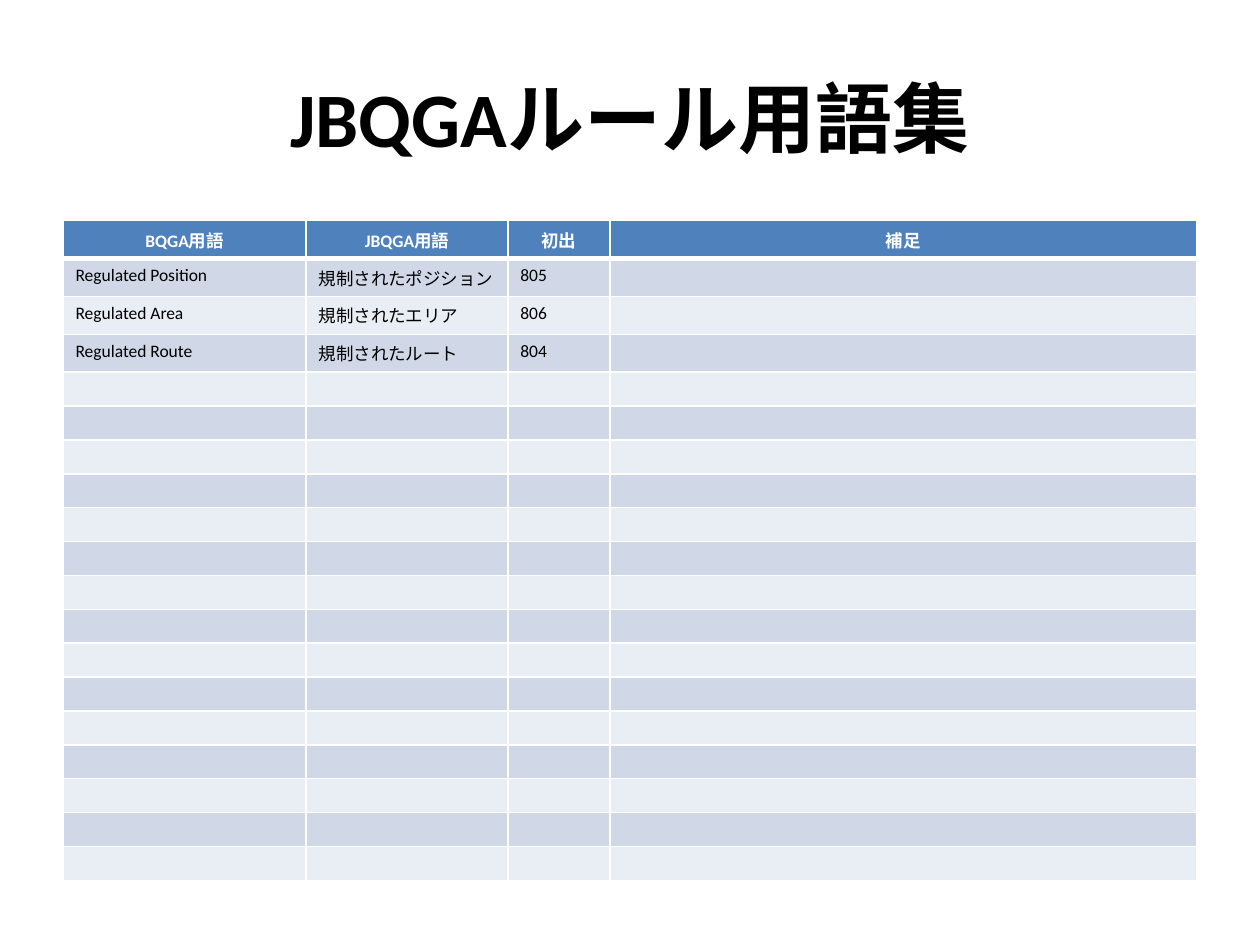
from lxml.etree import SubElement
from pptx import Presentation
from pptx.dml.color import RGBColor
from pptx.enum.text import MSO_ANCHOR, PP_ALIGN
from pptx.oxml import parse_xml
from pptx.oxml.ns import nsdecls, qn
from pptx.util import Cm, Pt

FONT = "Calibri"
WHITE, BLACK, BLUE = "FFFFFF", "000000", "4F81BD"
BANDS = ("D0D8E8", "E9EDF4")
HEADINGS = ("BQGA用語", "JBQGA用語", "初出", "補足")
TERMS = [
    ("Regulated Position", "規制されたポジション", "805", ""),
    ("Regulated Area", "規制されたエリア", "806", ""),
    ("Regulated Route", "規制されたルート", "804", ""),
]
BLANK_ROWS = 15
COLUMN_SHARES = (1.93, 1.6, 0.81, 4.66)
TERM_HEIGHT, BLANK_HEIGHT = 0.76, 0.68


def color(value):
    return RGBColor.from_string(value)


def format_text(paragraph, size, text_color, bold):
    for run in paragraph.runs:
        run.font.name = FONT
        run.font.size = Pt(size)
        run.font.bold = bold
        run.font.color.rgb = color(text_color)


def add_borders(cell, bottom_width):
    properties = cell._tc.get_or_add_tcPr()
    widths = {"lnL": 1, "lnR": 1, "lnT": 1, "lnB": bottom_width}
    for position, (side, width) in enumerate(widths.items()):
        properties.insert(position, parse_xml(
            f'<a:{side} {nsdecls("a")} w="{Pt(width)}"><a:solidFill>'
            f'<a:srgbClr val="{WHITE}"/></a:solidFill></a:{side}>'))


def fill_cell(cell, text, background, text_color, heading):
    cell.fill.solid()
    cell.fill.fore_color.rgb = color(background)
    add_borders(cell, 3 if heading else 1)
    paragraph = cell.text_frame.paragraphs[0]
    if text:
        paragraph.text = text
        paragraph.alignment = PP_ALIGN.CENTER if heading else PP_ALIGN.LEFT
        format_text(paragraph, 10, text_color, heading)
    else:
        SubElement(paragraph._p, qn("a:endParaRPr"), sz="1000")


def place_title(slide, left, top, width, height):
    title = slide.shapes.title
    title.left, title.top = Cm(left), Cm(top)
    title.width, title.height = Cm(width), Cm(height)
    title.text_frame.text = "JBQGAルール用語集"
    title.text_frame.vertical_anchor = MSO_ANCHOR.MIDDLE
    heading = title.text_frame.paragraphs[0]
    heading.alignment = PP_ALIGN.CENTER
    format_text(heading, 44, BLACK, True)


def place_glossary(slide, left, top, width):
    entries = [HEADINGS, *TERMS] + [("",) * len(HEADINGS)] * BLANK_ROWS
    heights = [TERM_HEIGHT if any(entry) else BLANK_HEIGHT for entry in entries]
    glossary = slide.shapes.add_table(
        len(entries), len(HEADINGS), Cm(left), Cm(top), Cm(width), Cm(sum(heights))).table
    for column, share in zip(glossary.columns, COLUMN_SHARES):
        column.width = Cm(width * share / sum(COLUMN_SHARES))
    for index, (entry, height) in enumerate(zip(entries, heights)):
        glossary.rows[index].height = Cm(height)
        heading = index == 0
        background = BLUE if heading else BANDS[(index - 1) % 2]
        for cell, text in zip(glossary.rows[index].cells, entry):
            fill_cell(cell, text, background, WHITE if heading else BLACK, heading)


def main():
    presentation = Presentation()
    presentation.slide_width, presentation.slide_height = Cm(25.4), Cm(19.05)
    slide = presentation.slides.add_slide(presentation.slide_layouts[5])
    place_title(slide, 1.27, 0.76, 22.86, 3.18)
    place_glossary(slide, 1.27, 4.45, 22.86)
    presentation.save("out.pptx")


if __name__ == "__main__":
    main()
